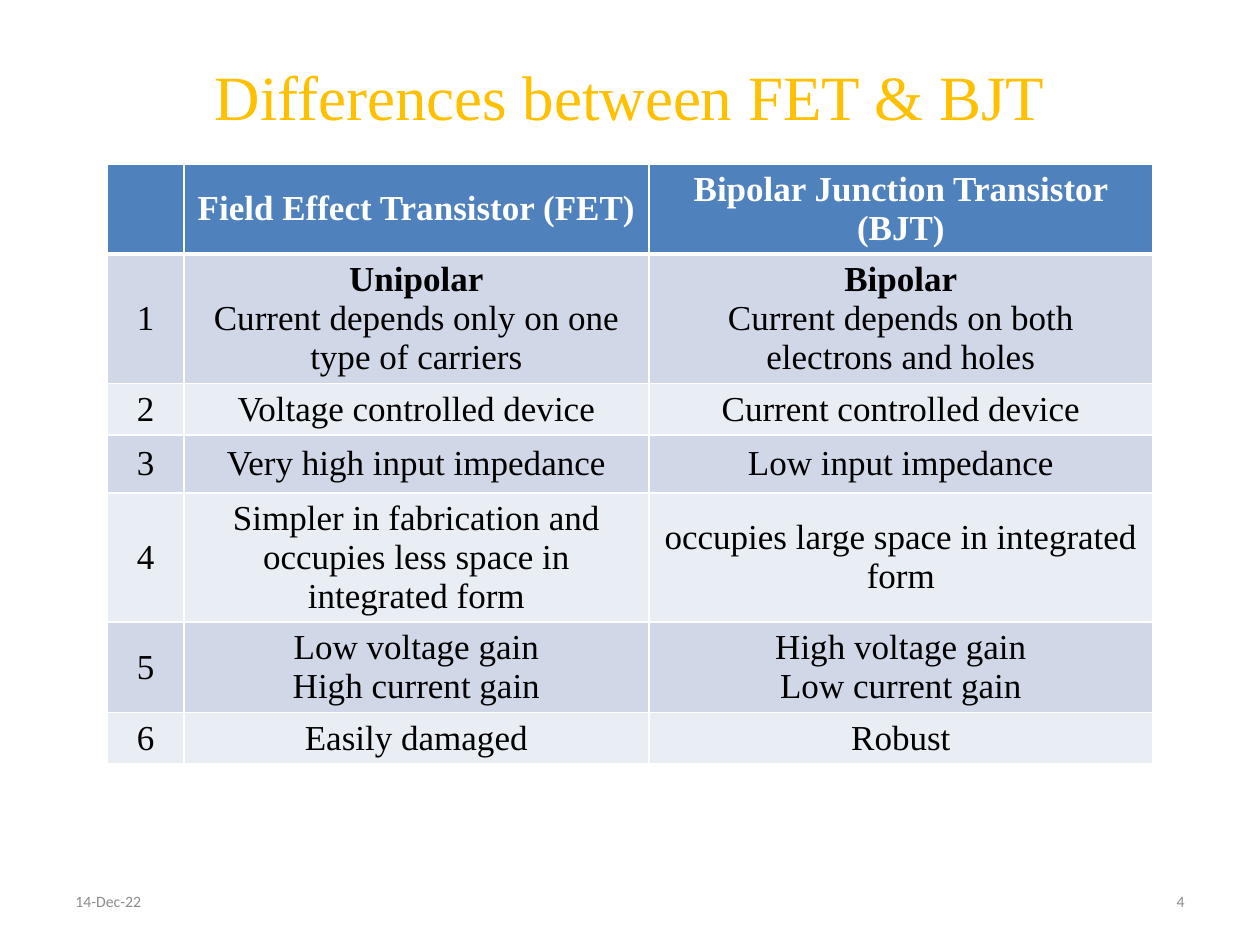
from lxml import etree
from pptx import Presentation
from pptx import util as u
from pptx.dml.color import RGBColor
from pptx.enum import text
from pptx.oxml.ns import qn

SERIF = "Times New Roman"
HEADER_FILL, BAND_FILLS = "4F81BD", ("D0D8E8", "E9EDF4")
COLUMN_WIDTHS = (0.61, 3.69, 4)
ROW_HEIGHTS = (0.71, 1.02, 0.41, 0.46, 1.02, 0.71, 0.41)
HEADINGS = ("", "Field Effect Transistor (FET)", "Bipolar Junction Transistor (BJT)")
DIFFERENCES = (
    ("Unipolar\nCurrent depends only on one type of carriers",
     "Bipolar\nCurrent depends on both electrons and holes"),
    ("Voltage controlled device", "Current controlled device"),
    ("Very high input impedance", "Low input impedance"),
    ("Simpler in fabrication and occupies less space in integrated form",
     "occupies large space in integrated form"),
    ("Low voltage gain\nHigh current gain", "High voltage gain\nLow current gain"),
    ("Easily damaged", "Robust"),
)
BOLD_LINES = HEADINGS + ("Unipolar", "Bipolar")


def color(value):
    """Turn a hex string into a colour."""
    return RGBColor.from_string(value)


def write(frame, content, size, font, ink, align):
    """Write each line of the content as a paragraph with one run."""
    frame.word_wrap = True
    for index, line in enumerate(content.split("\n")):
        para = frame.add_paragraph() if index else frame.paragraphs[0]
        para.alignment = align
        if line:
            span = para.add_run()
            span.text = line
            span.font.name, span.font.size = font, u.Pt(size)
            span.font.bold = line in BOLD_LINES
            span.font.color.rgb = color(ink)


def add_title(page, content):
    """Place and fill the title placeholder."""
    title = page.shapes.title
    title.left, title.top = u.Inches(0.5), u.Inches(0.3)
    title.width, title.height = u.Inches(9), u.Inches(0.91)
    title.text_frame.vertical_anchor = text.MSO_ANCHOR.MIDDLE
    write(title.text_frame, content, 36, SERIF, "FFC000", text.PP_ALIGN.CENTER)


def set_borders(cell, top, bottom):
    """Draw white cell borders, with top and bottom widths in points."""
    properties = cell._tc.get_or_add_tcPr()
    widths = {"a:lnL": 1, "a:lnR": 1, "a:lnT": top, "a:lnB": bottom}
    for index, (tag, width) in enumerate(widths.items()):
        line = etree.Element(qn(tag), w=str(u.Pt(width)))
        fill = etree.SubElement(line, qn("a:solidFill"))
        etree.SubElement(fill, qn("a:srgbClr"), val="FFFFFF")
        properties.insert(index, line)


def add_comparison(page):
    """Add the table that compares both transistors."""
    rows = [HEADINGS] + [(str(n), *pair) for n, pair in enumerate(DIFFERENCES, 1)]
    table = page.shapes.add_table(
        len(rows), len(HEADINGS), u.Inches(0.85), u.Inches(1.3),
        u.Inches(sum(COLUMN_WIDTHS)), u.Inches(sum(ROW_HEIGHTS))).table
    for column, width in zip(table.columns, COLUMN_WIDTHS):
        column.width = u.Inches(width)
    for r, (row, height) in enumerate(zip(rows, ROW_HEIGHTS)):
        table.rows[r].height = u.Inches(height)
        for c, content in enumerate(row):
            cell = table.cell(r, c)
            cell.vertical_anchor = text.MSO_ANCHOR.MIDDLE
            cell.fill.solid()
            cell.fill.fore_color.rgb = color(BAND_FILLS[(r - 1) % 2] if r else HEADER_FILL)
            set_borders(cell, 3 if r == 1 else 1, 1 if r else 3)
            write(cell.text_frame, content, 20, SERIF,
                  "000000" if r else "FFFFFF", text.PP_ALIGN.CENTER)


def add_footer(page, content, left, align):
    """Add a small grey footer text."""
    box = page.shapes.add_textbox(
        u.Inches(left), u.Inches(6.95), u.Inches(2.33), u.Inches(0.4))
    box.text_frame.vertical_anchor = text.MSO_ANCHOR.MIDDLE
    write(box.text_frame, content, 9, "Calibri", "8C8C8C", align)


def main():
    """Build and save the slide."""
    deck = Presentation()
    deck.slide_width, deck.slide_height = u.Inches(10), u.Inches(7.5)
    page = deck.slides.add_slide(deck.slide_layouts[5])
    add_title(page, "Differences between FET & BJT")
    add_comparison(page)
    add_footer(page, "14-Dec-22", 0.5, text.PP_ALIGN.LEFT)
    add_footer(page, "4", 7.17, text.PP_ALIGN.RIGHT)
    deck.save("out.pptx")


if __name__ == "__main__":
    main()
